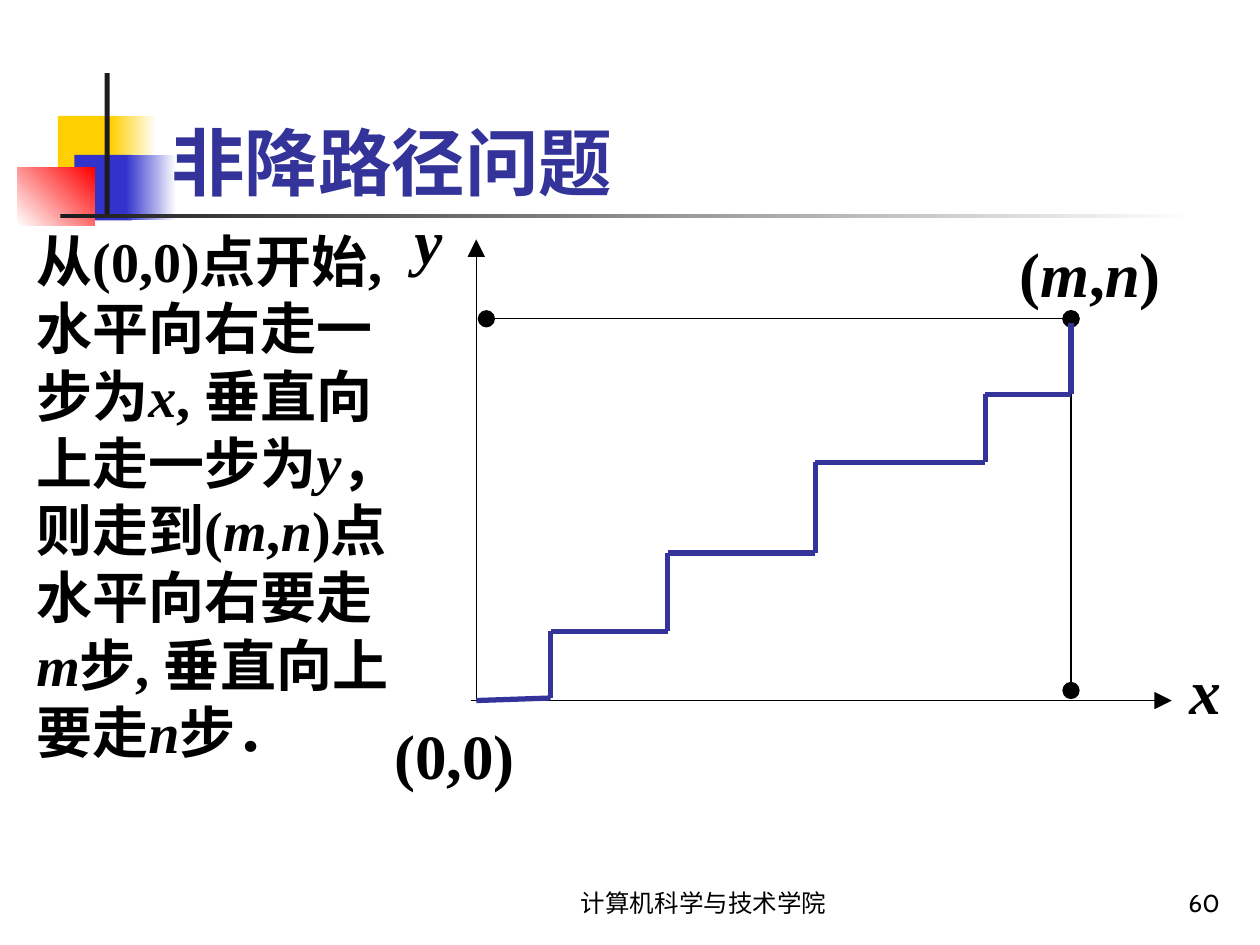
from dataclasses import dataclass
from itertools import pairwise
from typing import Optional

from lxml.etree import SubElement
from pptx import Presentation
from pptx.dml.color import RGBColor
from pptx.enum.shapes import MSO_CONNECTOR as Connector, MSO_SHAPE as Preset
from pptx.enum.text import MSO_ANCHOR as Anchor, PP_ALIGN as Align
from pptx.oxml.ns import qn
from pptx.slide import Slide
from pptx.util import Inches, Pt

Point = tuple[float, float]
Box = tuple[float, float, float, float]

BLACK, NAVY, WHITE = "000000", "333399", "FFFFFF"
YELLOW, BLUE, RED, CHARCOAL = "FFCF01", "3333CC", "FF0000", "1C1C1C"
SERIF, SANS = "Times New Roman", "Cabin"


@dataclass(frozen=True)
class Block:
    box: Box
    start: str
    end: Optional[str] = None
    angle: float = 0


@dataclass(frozen=True)
class Caption:
    box: Box
    text: str
    size: float = 36
    font: str = SERIF
    color: str = BLACK
    bold: bool = True
    align: Align = Align.LEFT
    anchor: Anchor = Anchor.TOP


@dataclass(frozen=True)
class Line:
    start: Point
    end: Point
    color: str = BLACK
    width: float = 0.75
    head: Optional[str] = None
    tail: Optional[str] = None


def rgb(value: str) -> RGBColor:
    return RGBColor.from_string(value)


def draw_block(slide: Slide, block: Block) -> None:
    shape = slide.shapes.add_shape(Preset.RECTANGLE, *map(Inches, block.box))
    shape.shadow.inherit = False
    shape.line.fill.background()
    if block.end is None:
        shape.fill.solid()
        shape.fill.fore_color.rgb = rgb(block.start)
        return
    shape.fill.gradient()
    shape.fill.gradient_angle = block.angle
    for stop, color in zip(shape.fill.gradient_stops, (block.start, block.end)):
        stop.color.rgb = rgb(color)


def draw_caption(slide: Slide, caption: Caption) -> None:
    frame = slide.shapes.add_textbox(*map(Inches, caption.box)).text_frame
    frame.word_wrap = True
    frame.vertical_anchor = caption.anchor
    paragraph = frame.paragraphs[0]
    paragraph.alignment = caption.align
    paragraph._p.get_or_add_pPr().set("hangingPunct", "0")
    for index, part in enumerate(caption.text.split("|")):
        if not part:
            continue
        run = paragraph.add_run()
        run.text = part
        run.font.color.rgb = rgb(caption.color)
        formats = {
            "name": caption.font,
            "size": Pt(caption.size),
            "bold": caption.bold,
            "italic": index % 2 == 1,
        }
        for name, value in formats.items():
            setattr(run.font, name, value)


def draw_line(slide: Slide, line: Line) -> None:
    connector = slide.shapes.add_connector(
        Connector.STRAIGHT, *map(Inches, line.start + line.end)
    )
    connector.line.color.rgb = rgb(line.color)
    connector.line.width = Pt(line.width)
    properties = connector._element.spPr
    outline = properties.find(qn("a:ln"))
    for tag, kind in (("a:headEnd", line.head), ("a:tailEnd", line.tail)):
        if kind:
            SubElement(outline, qn(tag), type=kind, w="lg", len="lg")
    SubElement(properties, qn("a:effectLst"))


ORNAMENT = [
    Block((0.46, 0.92, 0.48, 0.52), YELLOW),
    Block((0.88, 0.92, 0.36, 0.52), YELLOW, WHITE),
    Block((0.59, 1.23, 0.46, 0.52), BLUE),
    Block((1, 1.23, 0.4, 0.52), BLUE, WHITE),
    Block((0.14, 1.33, 0.61, 0.46), WHITE, RED, 45),
    Block((0.83, 0.58, 0.04, 1.15), CHARCOAL),
    Block((0.48, 1.7, 9, 0.03), CHARCOAL, WHITE),
]

EXPLANATION = (
    "从(0,0)点开始,水平向右走一步为|x|, 垂直向上走一步为|y|，则走到(|m|,|n|)"
    "点水平向右要走|m|步, 垂直向上要走|n|步．"
)

CAPTIONS = [
    Caption((4, 6.83, 3.17, 0.5), "计算机科学与技术学院", 14, SANS,
            bold=False, align=Align.CENTER, anchor=Anchor.BOTTOM),
    Caption((7.7, 6.83, 2.08, 0.5), "60", 14, SANS,
            bold=False, align=Align.RIGHT, anchor=Anchor.BOTTOM),
    Caption((1.26, 0.08, 8.52, 1.6), "非降路径问题", 42, SANS, NAVY,
            anchor=Anchor.BOTTOM),
    Caption((0.19, 1.75, 3.16, 4.9), EXPLANATION, 32),
    Caption((3.03, 5.64, 1.26, 0.7), "(0,0)"),
    Caption((7.99, 1.81, 1.43, 0.7), "(|m|,|n|)"),
    Caption((3.19, 1.55, 0.51, 0.7), "|y"),
    Caption((9.34, 5.12, 0.51, 0.7), "|x"),
]

AXES_AND_BOUNDS = [
    Line((3.78, 5.56), (3.78, 1.9), tail="triangle"),
    Line((3.74, 5.56), (9.3, 5.56), tail="triangle"),
    Line((3.86, 2.53), (8.5, 2.53), head="oval", tail="oval"),
    Line((8.5, 5.48), (8.5, 2.53), head="oval", tail="oval"),
]

PATH_CORNERS = [
    (3.78, 5.56), (4.37, 5.54), (4.37, 5.01), (5.3, 5.01), (5.3, 4.39), (6.47, 4.39),
    (6.47, 3.67), (7.82, 3.67), (7.82, 3.13), (8.5, 3.13), (8.5, 2.56),
]


def main() -> None:
    deck = Presentation()
    deck.slide_width, deck.slide_height = Inches(10), Inches(7.5)
    slide = deck.slides.add_slide(deck.slide_layouts[6])
    for block in ORNAMENT:
        draw_block(slide, block)
    steps = [Line(start, end, NAVY, 3) for start, end in pairwise(PATH_CORNERS)]
    for line in AXES_AND_BOUNDS + steps:
        draw_line(slide, line)
    for caption in CAPTIONS:
        draw_caption(slide, caption)
    deck.save("out.pptx")


if __name__ == "__main__":
    main()
